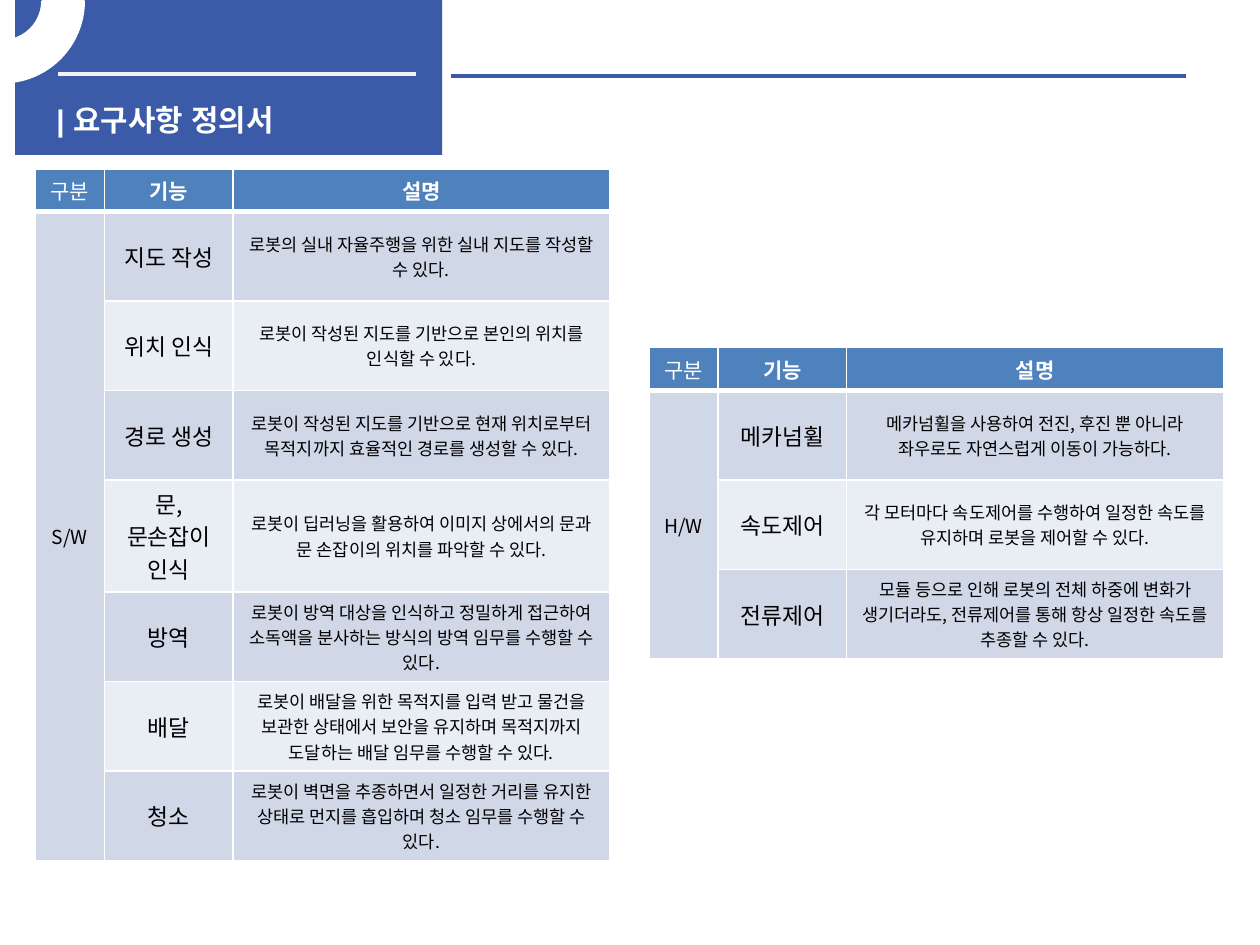
from lxml import etree
from pptx import Presentation, util as u
from pptx.dml.color import RGBColor
from pptx.enum import shapes, text
from pptx.oxml.ns import qn

COLORS = {
    "blue": "3B5AA8", "white": "FFFFFF", "rule": "F2F2F2", "black": "000000",
    "header": "4F81BD", "band_dark": "D0D8E8", "band_light": "E9EDF4",
}
TABLE_FONT = "Noto Sans CJK KR"
COLUMN_WIDTHS = (0.55, 1.02, 2.99)
HEADER_HEIGHT, ROW_HEIGHT, TALL_ROW_HEIGHT = 0.34, 0.71, 0.89
LONG_FEATURE = 6  # features with more letters need three lines
HEADERS = ("구분", "기능", "설명")

SOFTWARE = [
    ("지도 작성", "로봇의 실내 자율주행을 위한 실내 지도를 작성할 수 있다."),
    ("위치 인식", "로봇이 작성된 지도를 기반으로 본인의 위치를 인식할 수 있다."),
    ("경로 생성", "로봇이 작성된 지도를 기반으로 현재 위치로부터 목적지까지 효율적인 경로를 생성할 수 있다."),
    ("문, 문손잡이 인식", "로봇이 딥러닝을 활용하여 이미지 상에서의 문과 문 손잡이의 위치를 파악할 수 있다."),
    ("방역", "로봇이 방역 대상을 인식하고 정밀하게 접근하여 소독액을 분사하는 방식의 방역 임무를 수행할 수 있다."),
    ("배달", "로봇이 배달을 위한 목적지를 입력 받고 물건을 보관한 상태에서 보안을 유지하며 목적지까지 도달하는 배달 임무를 수행할 수 있다."),
    ("청소", "로봇이 벽면을 추종하면서 일정한 거리를 유지한 상태로 먼지를 흡입하며 청소 임무를 수행할 수 있다."),
]
HARDWARE = [
    ("메카넘휠", "메카넘휠을 사용하여 전진, 후진 뿐 아니라 좌우로도 자연스럽게 이동이 가능하다."),
    ("속도제어", "각 모터마다 속도제어를 수행하여 일정한 속도를 유지하며 로봇을 제어할 수 있다."),
    ("전류제어", "모듈 등으로 인해 로봇의 전체 하중에 변화가 생기더라도, 전류제어를 통해 항상 일정한 속도를 추종할 수 있다."),
]


def rgb(name):
    return RGBColor.from_string(COLORS[name])


def add_run(p, content, size, color, font, bold=False):
    r = p.add_run()
    r.text = content
    r.font.size, r.font.bold, r.font.name = u.Pt(size), bold, font
    r.font.color.rgb = rgb(color)
    etree.SubElement(r.font._element, qn("a:ea")).set("typeface", font)


def add_filled(s, kind, x, y, w, h, color):
    sp = s.shapes.add_shape(kind, *map(u.Inches, (x, y, w, h)))
    sp.shadow.inherit = False
    sp.fill.solid()
    sp.fill.fore_color.rgb = rgb(color)
    sp.line.fill.background()
    return sp


def add_rule(s, x, y, w, color):
    line = s.shapes.add_connector(
        shapes.MSO_CONNECTOR.STRAIGHT, *map(u.Inches, (x, y, x + w, y)))
    line.line.color.rgb = rgb(color)
    line.line.width = u.Pt(2.25)
    etree.SubElement(line._element.spPr, qn("a:effectLst"))


def add_banner(s, x, y, w, h, title):
    add_filled(s, shapes.MSO_SHAPE.RECTANGLE, x, y, w, h, "blue")
    add_rule(s, x + 0.34, y + 0.59, 2.84, "rule")
    add_rule(s, x + 3.46, y + 0.6, 5.83, "blue")

    # Title
    box = s.shapes.add_textbox(*map(u.Inches, (x + 0.23, y + 0.76, 3.07, 0.32)))
    tf = box.text_frame
    tf.word_wrap = True
    add_run(tf.paragraphs[0], title, 17, "white", "Arial", True)

    # Quarter ring in the corner
    ring = add_filled(s, shapes.MSO_SHAPE.BLOCK_ARC,
                      x - 0.75, y - 0.63, 1.29, 1.28, "white")
    for i, value in enumerate((161.59, 0, 0.25)):
        ring.adjustments[i] = value
    ring.line.color.rgb = rgb("white")
    ring.line.width = u.Pt(2)
    ring._element.spPr.find(qn("a:xfrm")).set("flipV", "1")


def set_borders(cell, bottom):
    tcPr = cell._tc.get_or_add_tcPr()
    widths = {"a:lnL": 1, "a:lnR": 1, "a:lnT": 1, "a:lnB": bottom}
    for i, (tag, width) in enumerate(widths.items()):
        ln = etree.Element(qn(tag), w=str(u.Pt(width)))
        fill = etree.SubElement(ln, qn("a:solidFill"))
        etree.SubElement(fill, qn("a:srgbClr")).set("val", COLORS["white"])
        tcPr.insert(i, ln)


def style_cell(cell, fill, bottom=1):
    cell.fill.solid()
    cell.fill.fore_color.rgb = rgb(fill)
    set_borders(cell, bottom)


def write_cell(cell, content, size, color="black", bold=False):
    cell.vertical_anchor = text.MSO_ANCHOR.MIDDLE
    p = cell.text_frame.paragraphs[0]
    p.alignment = text.PP_ALIGN.CENTER
    add_run(p, content, size, color, TABLE_FONT, bold)


def add_requirements(s, x, y, category, items):
    heights = [HEADER_HEIGHT] + [
        TALL_ROW_HEIGHT if len(feature) > LONG_FEATURE else ROW_HEIGHT
        for feature, _ in items]
    box = (x, y, sum(COLUMN_WIDTHS), sum(heights))
    frame = s.shapes.add_table(len(heights), len(HEADERS), *map(u.Inches, box))
    table = frame.table
    for column, width in zip(table.columns, COLUMN_WIDTHS):
        column.width = u.Inches(width)
    for row, height in zip(table.rows, heights):
        row.height = u.Inches(height)

    # Header row
    for j, label in enumerate(HEADERS):
        style_cell(table.cell(0, j), "header", bottom=3)
        write_cell(table.cell(0, j), label, 12, "white", bold=j > 0)

    # Banded rows beside one merged category cell
    for i, (feature, description) in enumerate(items, 1):
        band = "band_dark" if i % 2 else "band_light"
        for j, fill in enumerate(("band_dark", band, band)):
            style_cell(table.cell(i, j), fill)
        write_cell(table.cell(i, 1), feature, 13)
        write_cell(table.cell(i, 2), description, 10)
    table.cell(1, 0).merge(table.cell(len(items), 0))
    write_cell(table.cell(1, 0), category, 11)


def main():
    prs = Presentation()
    prs.slide_width, prs.slide_height = u.Inches(10), u.Inches(7.5)
    s = prs.slides.add_slide(prs.slide_layouts[6])
    add_banner(s, 0.12, 0, 3.39, 1.23, "| 요구사항 정의서")
    add_requirements(s, 0.28, 1.34, "S/W", SOFTWARE)
    add_requirements(s, 5.15, 2.76, "H/W", HARDWARE)
    prs.save("out.pptx")


if __name__ == "__main__":
    main()
